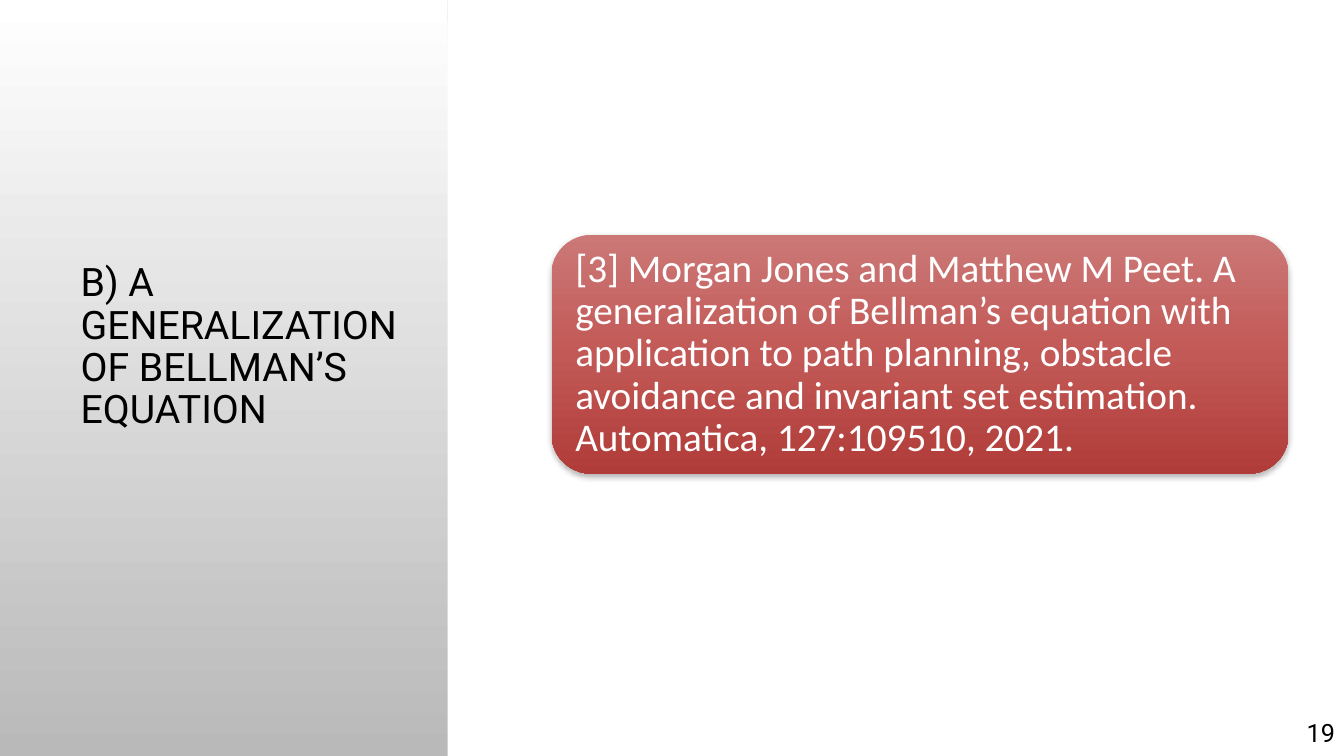
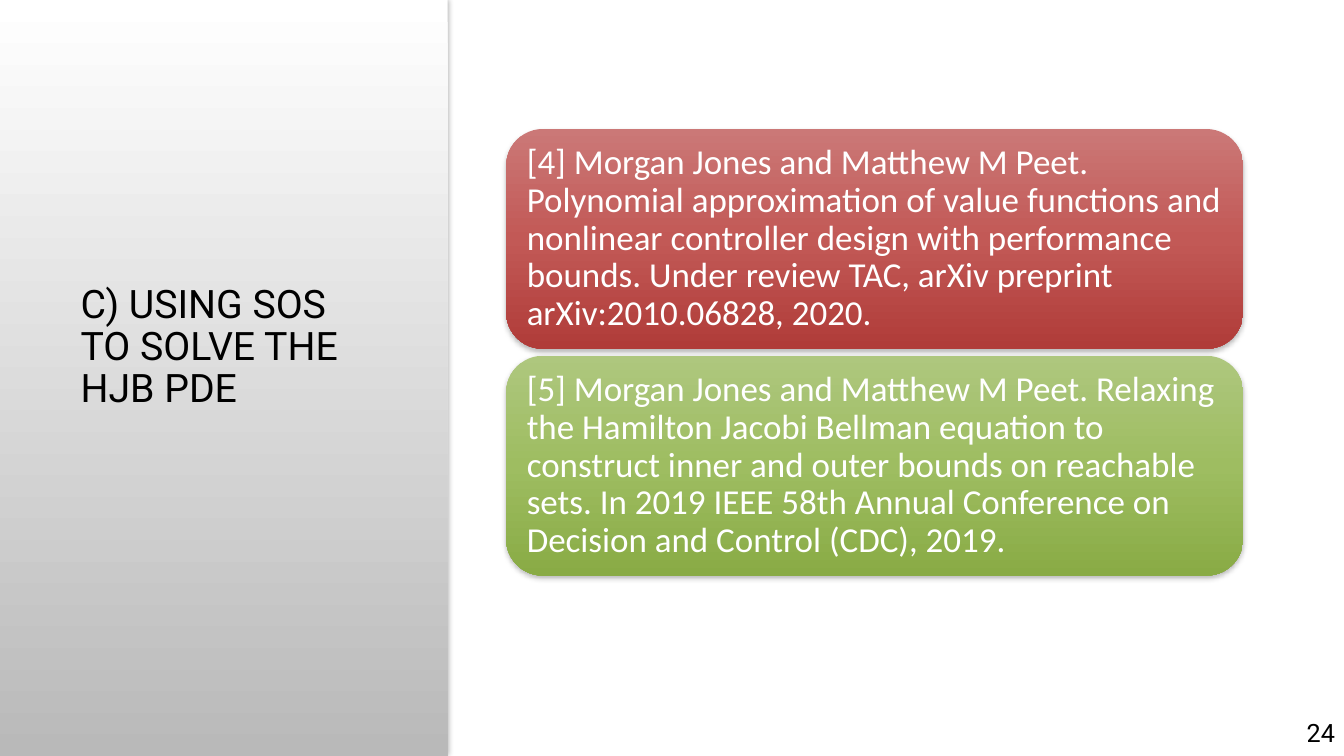
from copy import deepcopy
from lxml.etree import SubElement
from pptx import Presentation
from pptx.dml.color import RGBColor
from pptx.enum.shapes import MSO_SHAPE
from pptx.enum.text import MSO_ANCHOR, MSO_AUTO_SIZE, PP_ALIGN
from pptx.oxml.ns import qn
from pptx.util import Inches, Pt

COLORS = {"black": "000000", "white": "FFFFFF"}
RAMPS = {
    "gray": ["FFFFFF", "B9B9B9"],
    "red": ["CB7877", "C25956", "B03C39"],
    "green": ["AEC77E", "9EBD61", "89AB45"],
}
WIDE, HIGH, SIDE = 13.33, 7.5, 4.44


class Deck:
    def __init__(self):
        self.prs = Presentation()
        self.prs.slide_width = Inches(WIDE)
        self.prs.slide_height = Inches(HIGH)
        master = self.prs.slide_master
        self.ramp(master.background.fill, master.element, "gray")
        self.slide = None

    def ramp(self, fill, root, name):
        """Fill from top to bottom with evenly spaced colours."""
        fill.gradient()
        fill.gradient_angle = 270
        tones = RAMPS[name]
        stops = root.find(".//" + qn("a:gsLst"))
        while len(stops) < len(tones):
            stops.append(deepcopy(stops[-1]))
        for i, stop in enumerate(fill.gradient_stops):
            stop.position = i / (len(tones) - 1)
            stop.color.rgb = RGBColor.from_string(tones[i])

    def shadow(self, shape, alpha, dist, angle):
        effects = shape.element.spPr.find(qn("a:effectLst"))
        outer = SubElement(effects, qn("a:outerShdw"), blurRad=str(Pt(4)),
                           dist=str(Pt(dist)), dir=str(angle * 60000),
                           rotWithShape="0")
        tone = SubElement(outer, qn("a:srgbClr"), val=COLORS["black"])
        SubElement(tone, qn("a:alpha"), val=str(alpha * 1000))

    def shape(self, kind, x, y, w, h):
        shape = self.slide.shapes.add_shape(
            kind, Inches(x), Inches(y), Inches(w), Inches(h))
        shape.shadow.inherit = False
        shape.line.fill.background()
        return shape

    def text(self, shape, words, font, size, color, align=PP_ALIGN.LEFT,
             space=0.9):
        frame = shape.text_frame
        frame.text = words
        frame.word_wrap = True
        frame.auto_size = MSO_AUTO_SIZE.NONE
        frame.vertical_anchor = MSO_ANCHOR.MIDDLE
        para = frame.paragraphs[0]
        para.alignment = align
        para.line_spacing = space
        for run in para.runs:
            run.font.name = font
            run.font.size = Pt(size)
            run.font.color.rgb = RGBColor.from_string(COLORS[color])

    def band(self):
        band = self.shape(MSO_SHAPE.RECTANGLE, 0, 0, SIDE, HIGH)
        self.ramp(band.fill, band.element, "gray")
        self.shadow(band, 30, 1, 0)

    def panel(self):
        panel = self.shape(MSO_SHAPE.RECTANGLE, SIDE, 0, WIDE - SIDE, HIGH)
        panel.fill.solid()
        panel.fill.fore_color.rgb = RGBColor.from_string(COLORS["white"])

    def title(self, words, width):
        title = self.slide.shapes.title
        title.left, title.top = Inches(0.7), Inches(1.44)
        title.width, title.height = Inches(width), Inches(4.02)
        self.text(title, words, "Roboto", 28, "black")
        # Bring the title in front of the band
        self.slide.shapes.element.append(title.element)

    def number(self, page):
        box = self.slide.shapes.add_textbox(
            Inches(12.5), Inches(7.07), Inches(0.84), Inches(0.4))
        self.text(box, str(page), "Roboto", 18, "black", PP_ALIGN.RIGHT, 1)

    def open(self, title, width, page, front):
        layout = self.prs.slide_layouts.get_by_name("Title Only")
        self.slide = self.prs.slides.add_slide(layout)
        parts = [self.panel, self.band]
        for part in parts if front else reversed(parts):
            part()
        self.title(title, width)
        self.number(page)

    def cards(self, items, x, y, h, size, inset):
        """Stack reference cards with equal gaps."""
        for i, (name, words) in enumerate(items):
            card = self.shape(MSO_SHAPE.ROUNDED_RECTANGLE,
                              x, y + i * (h + 0.07), 7.31, h)
            self.ramp(card.fill, card.element, name)
            self.shadow(card, 28, 2, 90)
            self.text(card, words, "Calibri", size, "white")
            frame = card.text_frame
            frame.margin_left = frame.margin_right = Inches(inset)
            frame.margin_top = frame.margin_bottom = Inches(inset)


def main():
    deck = Deck()

    # Bellman's equation
    deck.open("B) A GENERALIZATION OF BELLMAN’S EQUATION", 3.71, 19, False)
    deck.cards([
        ("red", "[3] Morgan Jones and Matthew M Peet. A generalization of "
                "Bellman’s equation with application to path planning, "
                "obstacle avoidance and invariant set estimation. "
                "Automatica, 127:109510, 2021."),
    ], 5.47, 2.33, 2.37, 28, 0.12)

    # Solving the HJB PDE
    deck.open("C) USING SOS TO SOLVE THE HJB PDE", 3.11, 24, True)
    deck.cards([
        ("red", "[4] Morgan Jones and Matthew M Peet. Polynomial "
                "approximation of value functions and nonlinear controller "
                "design with performance bounds. Under review TAC, arXiv "
                "preprint arXiv:2010.06828, 2020."),
        ("green", "[5] Morgan Jones and Matthew M Peet. Relaxing the "
                  "Hamilton Jacobi Bellman equation to construct inner and "
                  "outer bounds on reachable sets. In 2019 IEEE 58th Annual "
                  "Conference on Decision and Control (CDC), 2019."),
    ], 5.02, 1.28, 2.18, 25, 0.1)

    deck.prs.save("out.pptx")


if __name__ == "__main__":
    main()
